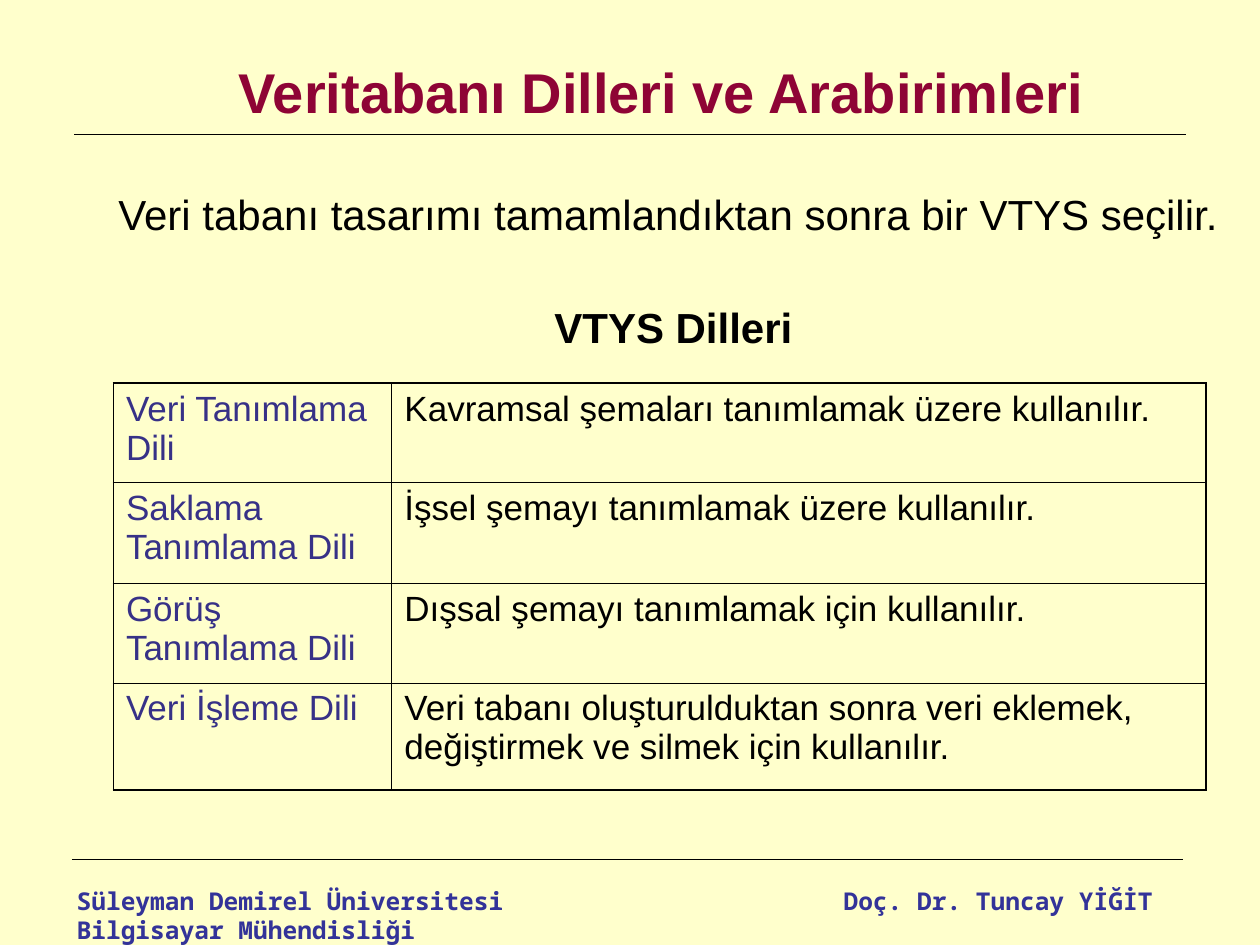
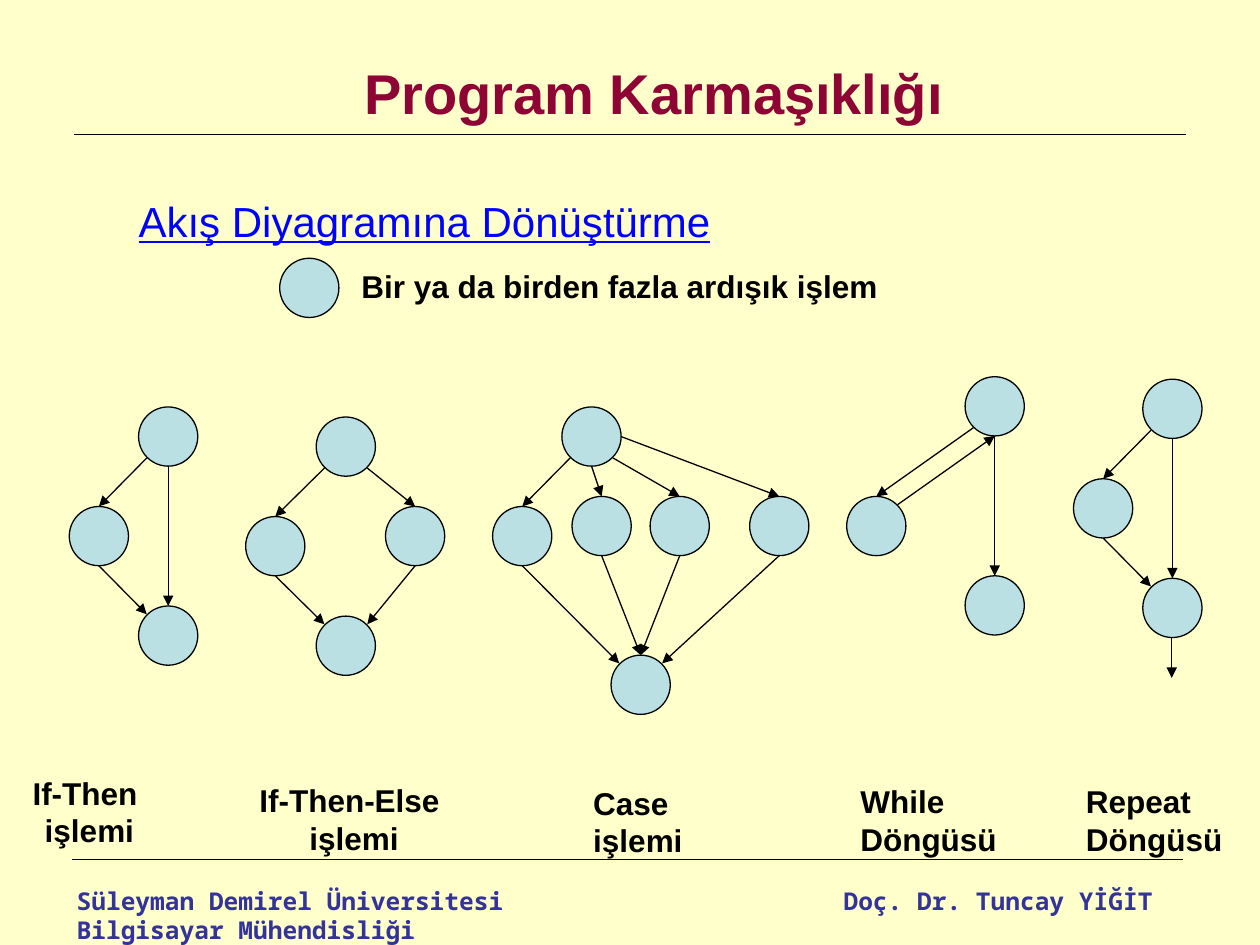
from lxml import etree
from pptx import Presentation
from pptx.dml.color import RGBColor
from pptx.enum.shapes import MSO_CONNECTOR, MSO_SHAPE
from pptx.enum.text import MSO_ANCHOR, MSO_AUTO_SIZE, PP_ALIGN
from pptx.oxml.ns import qn
from pptx.util import Inches, Pt

LEFT, MID, RIGHT = PP_ALIGN.LEFT, PP_ALIGN.CENTER, PP_ALIGN.RIGHT
TOP, CENTRE = MSO_ANCHOR.TOP, MSO_ANCHOR.MIDDLE
STRAIGHT, OVAL = MSO_CONNECTOR.STRAIGHT, MSO_SHAPE.OVAL
FIXED = MSO_AUTO_SIZE.NONE

COLORS = {
    "paper": "FFFFCC",
    "ink": "000000",
    "title": "8E0435",
    "footer": "333399",
    "term": "373187",
    "topic": "0000FF",
    "node": "BBE0E3",
}
SANS, MONO = "Arial", "Noto Sans Mono"
SIZE = 0.47
HALF, DIAG = SIZE / 2, 0.17
PORTS = {
    "n": (0, -HALF), "s": (0, HALF), "e": (HALF, 0),
    "nw": (-DIAG, -DIAG), "ne": (DIAG, -DIAG),
    "sw": (-DIAG, DIAG), "se": (DIAG, DIAG),
}

TERMS = [
    ("Veri Tanımlama Dili", "Kavramsal şemaları tanımlamak üzere kullanılır."),
    ("Saklama Tanımlama Dili", "İşsel şemayı tanımlamak üzere kullanılır."),
    ("Görüş Tanımlama Dili", "Dışsal şemayı tanımlamak için kullanılır."),
    ("Veri İşleme Dili",
     "Veri tabanı oluşturulduktan sonra veri eklemek, değiştirmek ve silmek için kullanılır."),
]

GRAPHS = [
    ([(1.1, 3.23), (0.55, 4.02), (1.1, 4.81)],
     [(0, "sw", 1, "n"), (1, "s", 2, "nw"), (0, "s", 2, "n")]),
    ([(2.51, 3.31), (1.95, 4.1), (3.06, 4.02), (2.51, 4.89)],
     [(0, "sw", 1, "n"), (1, "s", 3, "nw"), (2, "s", 3, "ne"), (0, "se", 2, "n")]),
    ([(4.46, 3.23), (3.91, 4.02), (4.54, 3.94), (5.16, 3.94), (5.95, 3.94), (4.85, 5.2)],
     [(0, "sw", 1, "n"), (0, "s", 2, "n"), (0, "se", 3, "n"), (0, "e", 4, "n"),
      (1, "s", 5, "nw"), (2, "s", 5, "n"), (3, "s", 5, "n"), (4, "s", 5, "ne")]),
    ([(7.66, 2.99), (6.72, 3.94), (7.66, 4.57)],
     [(0, "sw", 1, "n"), (1, "ne", 0, "s"), (0, "s", 2, "n")]),
    ([(9.07, 3.01), (8.52, 3.8), (9.07, 4.59)],
     [(0, "sw", 1, "n"), (1, "s", 2, "nw"), (0, "s", 2, "n")]),
]

LABELS = [
    (["If-Then ", "işlemi"], (0.16, 6.09, 1.1, 0.7), MID),
    (["If-Then-Else", " işlemi"], (1.96, 6.15, 1.63, 0.7), MID),
    (["Case", "işlemi"], (4.61, 6.17, 0.91, 0.7), LEFT),
    (["While", "Döngüsü"], (6.73, 6.16, 1.28, 0.7), LEFT),
    (["Repeat", "Döngüsü"], (8.52, 6.16, 1.28, 0.7), LEFT),
]


def tint(name):
    return RGBColor.from_string(COLORS[name])


def put(frame, text, new=False, size=18, color="ink", font=SANS, bold=False,
        under=False, align=LEFT, gap=0, space=1.0, hang=None):
    para = frame.add_paragraph() if new else frame.paragraphs[0]
    if hang is not None:
        props = para._p.get_or_add_pPr()
        props.set("marL", str(Inches(hang)))
        props.set("indent", str(-Inches(hang)))
        etree.SubElement(props, qn("a:buNone"))
    para.alignment = align
    para.line_spacing = space
    para.space_before = Pt(gap)
    para.space_after = Pt(0)
    run = para.add_run()
    run.text = text
    face = run.font
    face.name, face.size = font, Pt(size)
    face.bold, face.underline = bold, under
    face.color.rgb = tint(color)


class Deck:
    def __init__(self):
        self.prs = Presentation()
        self.prs.slide_width, self.prs.slide_height = Inches(10), Inches(7.5)
        fill = self.prs.slide_master.background.fill
        fill.solid()
        fill.fore_color.rgb = tint("paper")

    def start(self, title, left, top):
        self.slide = self.prs.slides.add_slide(self.prs.slide_layouts[1])
        self.shapes = self.slide.shapes
        frame = self.place(self.shapes.title, (left, top, 8.5, 0.85), CENTRE)
        put(frame, title, size=32, color="title", bold=True, align=MID)
        self.line((0.59, 1.07), (9.41, 1.07))
        self.line((0.57, 6.82), (9.39, 6.82))
        style = {"size": 14, "color": "footer", "font": MONO, "bold": True}
        self.text(["Süleyman Demirel Üniversitesi Bilgisayar Mühendisliği"],
                  (0.51, 6.98, 4.25, 0.57), wrap=True, **style)
        self.text(["Doç. Dr. Tuncay YİĞİT"], (6.26, 6.98, 2.99, 0.34),
                  wrap=True, align=RIGHT, **style)

    def place(self, shape, box, anchor=TOP):
        shape.left, shape.top, shape.width, shape.height = map(Inches, box)
        frame = shape.text_frame
        frame.auto_size = FIXED
        frame.word_wrap = True
        frame.vertical_anchor = anchor
        return frame

    def body(self, box):
        return self.place(self.slide.placeholders[1], box)

    def text(self, lines, box, wrap=False, **style):
        frame = self.shapes.add_textbox(*map(Inches, box)).text_frame
        frame.word_wrap = wrap
        for i, line in enumerate(lines):
            put(frame, line, new=i > 0, **style)

    def line(self, start, end, arrow=False):
        link = self.shapes.add_connector(STRAIGHT, *map(Inches, (*start, *end)))
        link.line.color.rgb = tint("ink")
        link.line.width = Pt(0.75)
        props = link._element.spPr
        if arrow:
            etree.SubElement(props.find(qn("a:ln")), qn("a:tailEnd"), type="triangle")
        etree.SubElement(props, qn("a:effectLst"))
        return link

    def node(self, left, top):
        dot = self.shapes.add_shape(OVAL, *map(Inches, (left, top, SIZE, SIZE)))
        dot.shadow.inherit = False
        dot.fill.solid()
        dot.fill.fore_color.rgb = tint("node")
        dot.line.color.rgb = tint("ink")
        dot.line.width = Pt(0.75)
        return dot

    def graph(self, spots, links):
        dots = [self.node(*spot) for spot in spots]

        def port(i, side):
            return [p + HALF + d for p, d in zip(spots[i], PORTS[side])]

        for a, out, b, into in links:
            link = self.line(port(a, out), port(b, into), arrow=True)
            if into == "n":
                link.end_connect(dots[b], 0)

    def edge(self, cell, sides):
        props = cell._tc.get_or_add_tcPr()
        for i, (side, outer) in enumerate(sides):
            width = Pt(1.08 if outer else 0.45)
            ln = etree.Element(qn("a:ln" + side), w=str(width))
            fill = etree.SubElement(ln, qn("a:solidFill"))
            etree.SubElement(fill, qn("a:srgbClr"), val=COLORS["ink"])
            props.insert(i, ln)

    def table(self, rows, box, widths, heights):
        grid = self.shapes.add_table(len(rows), len(widths), *map(Inches, box)).table
        grid.first_row = grid.horz_banding = False
        for col, width in zip(grid.columns, widths):
            col.width = Inches(width)
        for r, row in enumerate(rows):
            grid.rows[r].height = Inches(heights[r])
            for c, text in enumerate(row):
                cell = grid.cell(r, c)
                cell.fill.background()
                self.edge(cell, [("L", c == 0), ("R", c == len(row) - 1),
                                 ("T", r == 0), ("B", r == len(rows) - 1)])
                put(cell.text_frame, text, size=20, color="ink" if c else "term")


def main():
    deck = Deck()

    deck.start("Veritabanı Dilleri ve Arabirimleri", 1, 0.3)
    frame = deck.body((0.84, 1.49, 9.01, 1.65))
    style = {"size": 24, "space": 0.9, "hang": 0.38}
    put(frame, "Veri tabanı tasarımı tamamlandıktan sonra bir VTYS seçilir.", **style)
    put(frame, "VTYS Dilleri", new=True, bold=True, align=MID, gap=39, **style)
    deck.table(TERMS, (0.9, 3.04, 8.67, 3.23), (2.21, 6.46), (0.79, 0.8, 0.79, 0.85))

    deck.start("Program Karmaşıklığı", 0.94, 0.31)
    frame = deck.body((1, 1.5, 8.5, 0.49))
    put(frame, "Akış Diyagramına Dönüştürme", size=24, color="topic", under=True, hang=0.38)
    deck.node(2.22, 2.05)
    deck.text(["Bir ya da birden fazla ardışık işlem"], (2.77, 2.07, 4.3, 0.4), bold=True)
    for spots, links in GRAPHS:
        deck.graph(spots, links)
    deck.line((9.3, 5.06), (9.3, 5.38), arrow=True)
    for lines, box, align in LABELS:
        deck.text(lines, box, align=align, bold=True)

    deck.prs.save("out.pptx")


if __name__ == "__main__":
    main()
